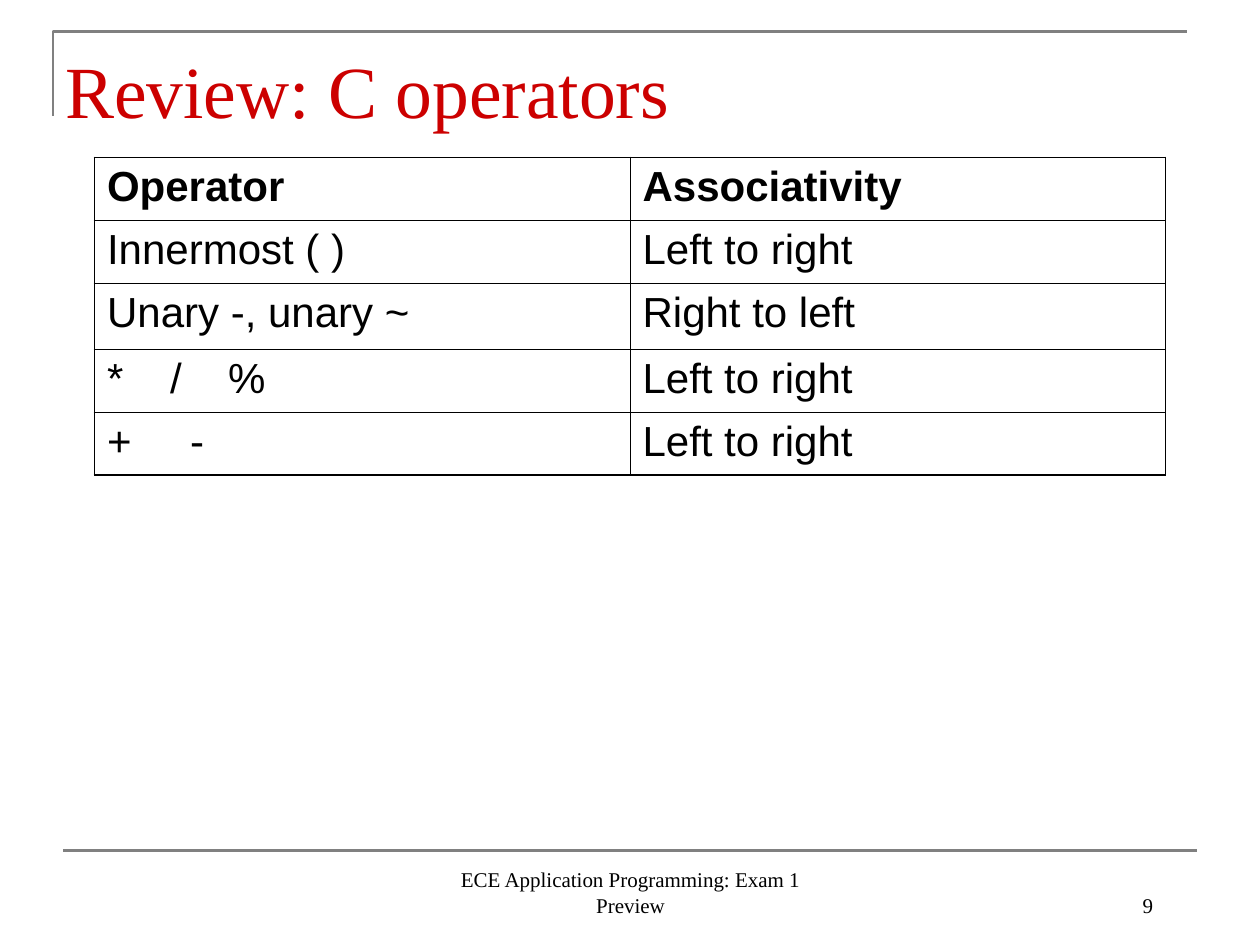
from lxml import etree
from pptx import Presentation
from pptx.dml.color import RGBColor
from pptx.enum.shapes import MSO_CONNECTOR
from pptx.enum.text import MSO_ANCHOR, PP_ALIGN
from pptx.oxml.ns import qn
from pptx.util import Inches, Pt

LEFT, CENTER, RIGHT = PP_ALIGN.LEFT, PP_ALIGN.CENTER, PP_ALIGN.RIGHT
TOP, MIDDLE, BOTTOM = MSO_ANCHOR.TOP, MSO_ANCHOR.MIDDLE, MSO_ANCHOR.BOTTOM
STRAIGHT = MSO_CONNECTOR.STRAIGHT

BLACK, GRAY, RED = "000000", "808080", "CC0000"
SERIF, SANS = "Times New Roman", "Arial"
THIN, THICK = 0.45, 1.08

# Each row: cell texts, then the tab stops (inches) of its operator list
ROWS = [
    (("Operator", "Associativity"), ()),
    (("Innermost ( )", "Left to right"), ()),
    (("Unary -, unary ~", "Right to left"), ()),
    (("*\t/\t%", "Left to right"), (0.5, 0.96)),
    (("+\t-", "Left to right"), (0.66,)),
]
ROW_HEIGHTS = [0.5, 0.5, 0.52, 0.5, 0.5]


def color(value):
    return RGBColor.from_string(value)


def write(frame, text, size=12, font=SERIF, fill=BLACK, bold=False,
          align=LEFT, tabs=()):
    para = frame.paragraphs[0]
    para.alignment = align
    if tabs:
        props = para._p.get_or_add_pPr()
        stops = etree.SubElement(props, qn("a:tabLst"))
        for stop in tabs:
            etree.SubElement(stops, qn("a:tab"), pos=str(Inches(stop)), algn="l")
    span = para.add_run()
    span.text = text
    span.font.size = Pt(size)
    span.font.name = font
    span.font.bold = bold
    span.font.color.rgb = color(fill)


def add_text(page, box, text, anchor=BOTTOM, **style):
    frame = page.shapes.add_textbox(*map(Inches, box)).text_frame
    frame.word_wrap = True
    frame.vertical_anchor = anchor
    write(frame, text, **style)


def style_line(shape):
    shape.line.color.rgb = color(GRAY)
    shape.line.width = Pt(1.5)


def set_border(cell, side, width):
    props = cell._tc.get_or_add_tcPr()
    edge = etree.SubElement(props, qn(f"a:ln{side}"), w=str(Pt(width)))
    fill = etree.SubElement(edge, qn("a:solidFill"))
    etree.SubElement(fill, qn("a:srgbClr"), val=BLACK)


def add_header(page, left, top, width, height):
    # Corner rule above and beside the title
    builder = page.shapes.build_freeform(Inches(left), Inches(top + 0.67))
    builder.add_line_segments(
        [(Inches(left), Inches(top)), (Inches(left + 9), Inches(top))], close=False)
    corner = builder.convert_to_shape()
    corner.shadow.inherit = False
    corner.fill.background()
    style_line(corner)
    add_text(page, (left, top, width, height), "Review: C operators",
             anchor=MIDDLE, size=42, fill=RED)


def add_operator_table(page, left, top, width, height):
    columns = len(ROWS[0][0])
    table = page.shapes.add_table(
        len(ROWS), columns, *map(Inches, (left, top, width, height))).table
    table.first_row = table.horz_banding = False
    for column in table.columns:
        column.width = Inches(width / columns)
    for r, (texts, tabs) in enumerate(ROWS):
        table.rows[r].height = Inches(ROW_HEIGHTS[r])
        for c, text in enumerate(texts):
            cell = table.cell(r, c)
            cell.vertical_anchor = TOP
            write(cell.text_frame, text, size=24, font=SANS, bold=r == 0,
                  tabs=tabs if c == 0 else ())
            # Outer edges are thicker than inner ones
            outer = {"L": c == 0, "R": c == columns - 1,
                     "T": r == 0, "B": r == len(ROWS) - 1}
            for side, is_outer in outer.items():
                set_border(cell, side, THICK if is_outer else THIN)
            cell.fill.background()


def add_footer(page, left, top, width, height):
    rule = page.shapes.add_connector(
        STRAIGHT, Inches(left), Inches(top), Inches(left + width), Inches(top))
    etree.SubElement(rule._element.spPr, qn("a:effectLst"))
    style_line(rule)
    text_top, text_height = top + 0.08, height - 0.08
    add_text(page, (left + 6.67, text_top, 2.08, text_height), "9", align=RIGHT)
    add_text(page, (left + 2.92, text_top, 3.17, text_height),
             "ECE Application Programming: Exam 1 Preview", align=CENTER)


def main():
    deck = Presentation()
    deck.slide_width, deck.slide_height = Inches(10), Inches(7.5)
    page = deck.slides.add_slide(deck.slide_layouts[6])
    add_header(page, 0.42, 0.25, 8.5, 0.92)
    add_operator_table(page, 0.75, 1.25, 8.5, sum(ROW_HEIGHTS))
    add_footer(page, 0.5, 6.75, 9, 0.58)
    deck.save("out.pptx")


if __name__ == "__main__":
    main()
